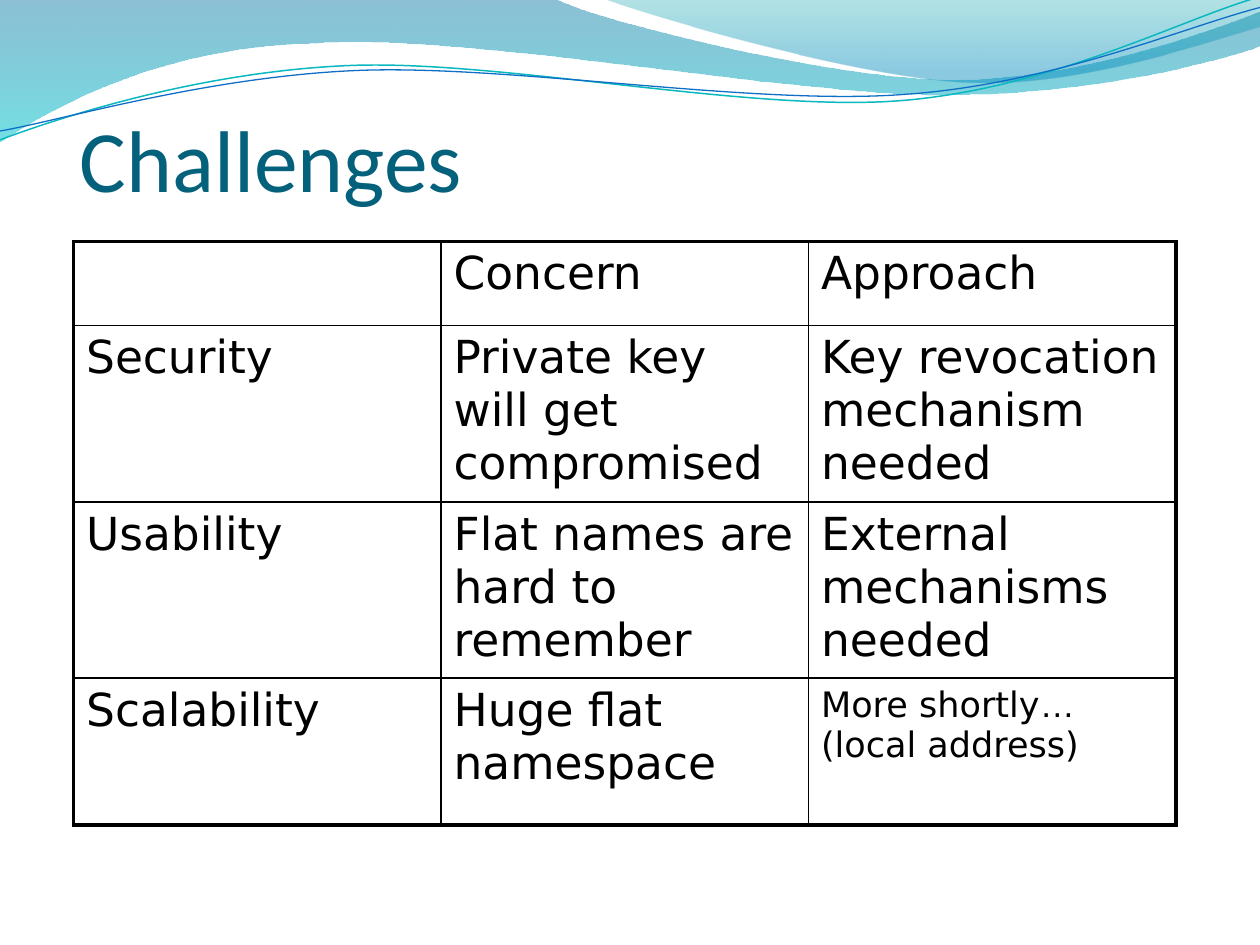
import math
import pptx
import pptx.dml.color
import pptx.enum.text
import pptx.oxml
import pptx.oxml.ns
import pptx.util
import lxml.etree

COLS, ROWS = 120, 90  # slide grid


def paint(code):
    return pptx.dml.color.RGBColor.from_string(code)


def tag(parent, name, **attrs):
    return lxml.etree.SubElement(parent, pptx.oxml.ns.qn(name), **attrs)


def turn(dot, hub, angle):
    """Turn a point clockwise about a hub."""
    a, b = dot[0] - hub[0], dot[1] - hub[1]
    sin, cos = math.sin(math.radians(angle)), math.cos(math.radians(angle))
    return hub[0] + a * cos - b * sin, hub[1] + a * sin + b * cos


class Deck:
    ink, head = "000000", "04617B"
    font, title = "DejaVu Sans", "Calibri"
    thin, thick = 1, 2.25
    tilt = 2.7

    def __init__(self):
        self.file = pptx.Presentation()
        self.file.slide_width = pptx.util.Inches(10)
        self.file.slide_height = pptx.util.Inches(7.5)
        self.slide = self.file.slides.add_slide(self.file.slide_layouts[6])
        self.slide.background.fill.solid()
        self.slide.background.fill.fore_color.rgb = paint("FFFFFF")

    def x(self, cols):
        return round(self.file.slide_width * cols / COLS)

    def y(self, rows):
        return round(self.file.slide_height * rows / ROWS)

    def box(self, left, top, wide, high):
        return self.x(left), self.y(top), self.x(wide), self.y(high)

    def style(self, font, size, color, name):
        font.size = pptx.util.Pt(size)
        font.color.rgb = paint(color)
        font.name = name

    def shape(self, parts, close):
        """Join parts: one point is a line, three points are a curve."""
        # Points are in tenths of the slide's width
        unit = self.file.slide_width / 10
        dots = [(round(a * unit), round(b * unit))
                for part in parts for a, b in part]
        pen = self.slide.shapes.build_freeform(*dots[0])
        pen.add_line_segments(dots[1:], close=close)
        shape = pen.convert_to_shape()
        shape.shadow.inherit = False
        lines = iter(list(shape._element.iter(pptx.oxml.ns.qn("a:lnTo"))))
        for part in parts[1:]:
            group = [next(lines) for _ in part]
            if len(part) == 3:
                curve = lxml.etree.Element(pptx.oxml.ns.qn("a:cubicBezTo"))
                group[0].addprevious(curve)
                for line in group:
                    curve.append(line[0])
                    line.getparent().remove(line)
        return shape

    def wave(self, parts, *stops):
        shape = self.shape(parts, True)
        shape.line.fill.background()
        shape.fill.gradient()
        shape.fill.gradient_angle = 270
        for stop, (place, color, alpha) in zip(shape.fill.gradient_stops, stops):
            stop.position = place
            stop.color.rgb = paint(color)
        marks = shape._element.spPr.iter(pptx.oxml.ns.qn("a:srgbClr"))
        for mark, (place, color, alpha) in zip(marks, stops):
            tag(mark, "a:alpha", val=str(alpha * 1000))

    def strand(self, parts, hub, color, width):
        # Lay the curve flat, then tilt the whole shape
        flat = [[turn(dot, hub, self.tilt) for dot in part] for part in parts]
        shape = self.shape(flat, False)
        shape.rotation = 360 - self.tilt
        shape.fill.background()
        shape.line.color.rgb = paint(color)
        shape.line.width = pptx.util.Pt(width)

    def text(self, words, place, size):
        frame = self.slide.shapes.add_textbox(*self.box(*place)).text_frame
        frame.word_wrap = True
        frame.margin_left = frame.margin_right = frame.margin_bottom = 0
        frame.vertical_anchor = pptx.enum.text.MSO_ANCHOR.BOTTOM
        para = frame.paragraphs[0]
        para.text = words
        self.style(para.font, size, self.head, self.title)

    def edge(self, cell, name, width):
        line = tag(cell._tc.get_or_add_tcPr(), "a:" + name,
                   w=str(pptx.util.Pt(width)))
        tag(tag(line, "a:solidFill"), "a:srgbClr", val=self.ink)

    def table(self, rows, place, highs, size):
        deep, wide = len(rows), len(rows[0])
        grid = self.slide.shapes.add_table(deep, wide, *self.box(*place)).table
        grid.first_row = grid.horz_banding = False
        for row, high in zip(grid.rows, highs):
            row.height = self.y(high)
        for r, row in enumerate(rows):
            for c, words in enumerate(row):
                cell = grid.cell(r, c)
                # Heavy frame, fine lines inside
                sides = (("lnL", c == 0), ("lnR", c == wide - 1),
                         ("lnT", r == 0), ("lnB", r == deep - 1))
                for name, outer in sides:
                    self.edge(cell, name, self.thick if outer else self.thin)
                cell.fill.background()
                para = cell.text_frame.paragraphs[0]
                para.text = words
                self.style(para.font, size, self.ink, self.font)
        return grid


def main():
    deck = Deck()

    # Waves across the top
    deck.wave([[(0, 0)], [(4.4, -0.01)],
               [(4.76, 0.17), (6.64, 0.63), (7.58, 0.63)],
               [(8.53, 0.63), (9.58, 0.26), (10, 0.09)],
               [(10.01, 0.36)],
               [(9.83, 0.44), (8.7, 0.76), (7.46, 0.75)],
               [(6.22, 0.75), (3.82, 0.28), (2.57, 0.34)],
               [(1.29, 0.36), (0.46, 0.83), (-0.01, 1.13)]],
              (0, "0074A1", 45), (1, "00C6CF", 55))
    deck.wave([[(4.79, -0.01)],
               [(5.09, 0.11), (6.82, 0.62), (7.69, 0.65)],
               [(8.56, 0.69), (9.61, 0.32), (10, 0.21)],
               [(10, 0)]],
              (0, "00A1A9", 30), (0.8, "008BBF", 45))
    deck.strand([[(0, 1.11)],
                 [(0.48, 0.93), (1.58, 0.57), (2.77, 0.52)],
                 [(3.95, 0.47), (5.93, 0.89), (7.13, 0.8)],
                 [(8.33, 0.71), (9.38, 0.15), (9.98, -0.02)]],
                (4.99, 0.58), "0AB8BF", 0.85)
    deck.strand([[(0, 1.04)],
                 [(0.47, 0.96), (1.64, 0.61), (2.83, 0.56)],
                 [(4.03, 0.51), (5.97, 0.84), (7.17, 0.75)],
                 [(8.36, 0.67), (9.41, 0.21), (10, 0.06)]],
                (5, 0.59), "0F6FC6", 0.75)

    # Title
    deck.text("Challenges", (7.6, 4, 105, 16), 50)

    # Concerns and approaches
    grid = deck.table([
        ["", "Concern", "Approach"],
        ["Security", "Private key will get compromised",
         "Key revocation mechanism needed"],
        ["Usability", "Flat names are hard to remember",
         "External mechanisms needed"],
        ["Scalability", "Huge flat namespace", ""],
    ], (7, 23, 105, 54.8), (8, 16.4, 16.4, 14), 26)

    # Last cell: smaller, with the ellipsis in another font
    para = grid.cell(3, 2).text_frame.paragraphs[0]
    para.font.size = pptx.util.Pt(20)
    for words, name in (("More shortly", deck.font), ("…", "Arial"),
                        ("(local address)", deck.font)):
        run = para.add_run()
        run.text = words
        run.font.name = name

    deck.file.save("out.pptx")


if __name__ == "__main__":
    main()
